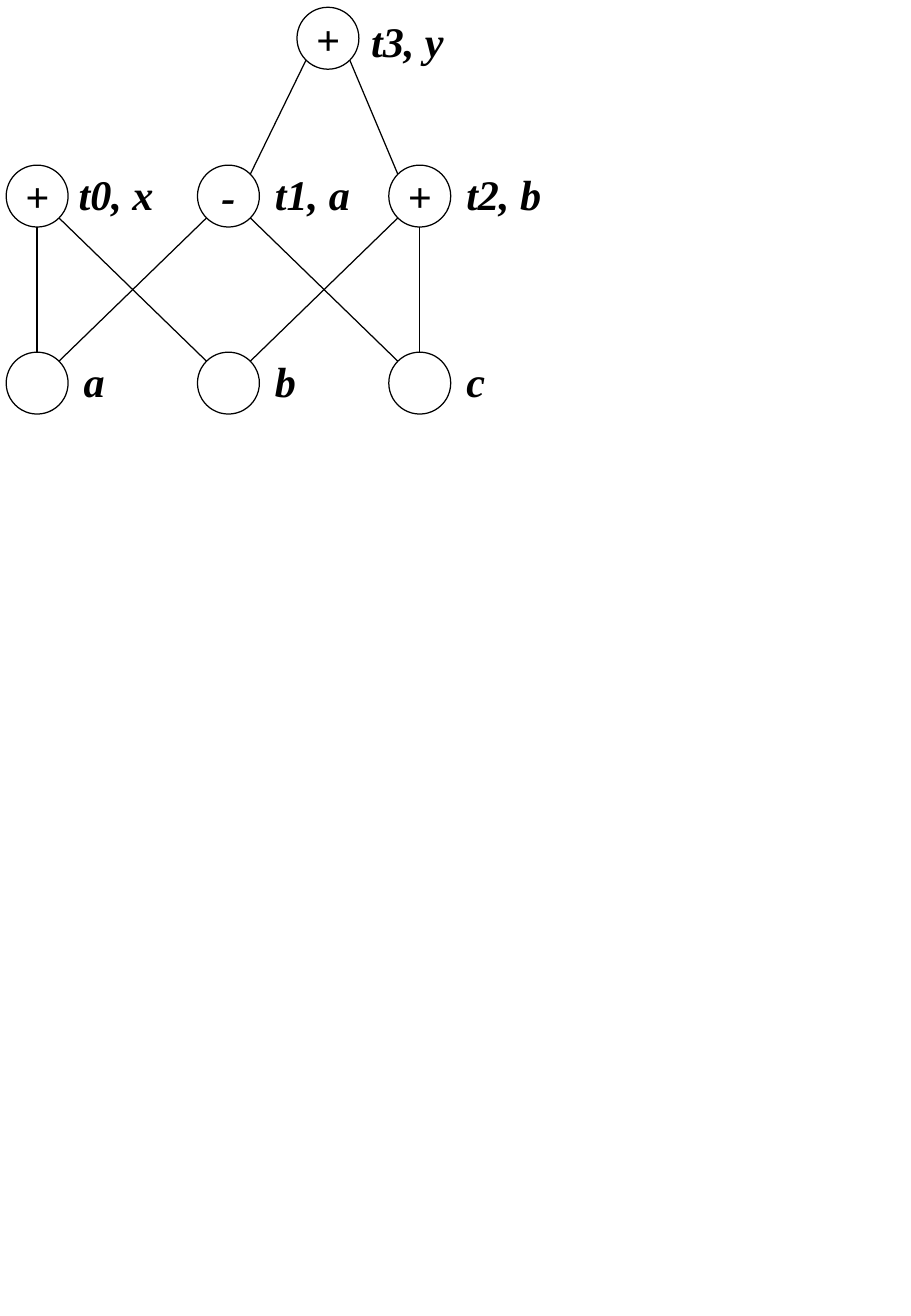
import math

import pptx
import pptx.dml.color
import pptx.enum.shapes
import pptx.enum.text
import pptx.util
from lxml import etree

Pt = pptx.util.Pt
MSO_SHAPE = pptx.enum.shapes.MSO_SHAPE
PP_ALIGN = pptx.enum.text.PP_ALIGN

# Content: node -> (column, row, operator, label, label nudge in points)
NODES = {
    "a": (0, 2, "", "a", (0, 0)),
    "b": (1, 2, "", "b", (0, 0)),
    "c": (2, 2, "", "c", (0, 0)),
    "t0": (0, 1, "+", "t0, x", (-3, 0)),
    "t1": (1, 1, "-", "t1, a", (0, 0)),
    "t2": (2, 1, "+", "t2, b", (0, 0)),
    "t3": (1.52, 0, "+", "t3, y", (-2, 3)),
}
EDGES = [("t0", "a"), ("t0", "b"), ("t1", "a"), ("t1", "c"),
         ("t2", "b"), ("t2", "c"), ("t3", "t1"), ("t3", "t2")]

# Theme and layout, in points
THEME = {
    "ink": pptx.dml.color.RGBColor(0, 0, 0),
    "line": 0.75,
    "font": {"name": "Times New Roman", "size": Pt(25), "bold": True, "italic": True},
}
SLIDE_W, SLIDE_H = 540, 780.48
FIRST_X, PITCH_X = 22, 113.4
ROW_Y = [22.7, 116.3, 227.2]
DIAMETER = 36.7
RADIUS = DIAMETER / 2
LABEL_W, LABEL_H = 76, 33.8
MARGINS = {"margin_left": Pt(7.6), "margin_right": Pt(7.6),
           "margin_top": Pt(3.6), "margin_bottom": Pt(3.6)}


def center(name):
    col, row = NODES[name][:2]
    return FIRST_X + col * PITCH_X, ROW_Y[row]


def add_part(s, kind, left, top, width, height, text, align, outlined):
    sp = s.shapes.add_shape(kind, Pt(left), Pt(top), Pt(width), Pt(height))
    sp.shadow.inherit = False
    sp.fill.background()
    if outlined:
        sp.line.color.rgb = THEME["ink"]
        sp.line.width = Pt(THEME["line"])
    else:
        sp.line.fill.background()
    if not text:
        return
    tf = sp.text_frame
    tf.word_wrap = False
    tf.vertical_anchor = pptx.enum.text.MSO_ANCHOR.MIDDLE
    for key, value in MARGINS.items():
        setattr(tf, key, value)
    p = tf.paragraphs[0]
    p.alignment = align
    r = p.add_run()
    r.text = text
    for key, value in THEME["font"].items():
        setattr(r.font, key, value)
    r.font.color.rgb = THEME["ink"]


def add_edge(s, parent, child):
    (x1, y1), (x2, y2) = center(parent), center(child)
    # Vertical edges leave at the bottom, slanted ones at the 45 degree points
    side = (x2 > x1) - (x2 < x1)
    reach = RADIUS * math.sqrt(0.5) if side else RADIUS
    dx = side * reach
    line = s.shapes.add_connector(
        pptx.enum.shapes.MSO_CONNECTOR.STRAIGHT,
        Pt(x1 + dx), Pt(y1 + reach), Pt(x2 - dx), Pt(y2 - reach))
    line.line.color.rgb = THEME["ink"]
    line.line.width = Pt(THEME["line"])
    etree.SubElement(line._element.spPr, pptx.oxml.ns.qn("a:effectLst"))


def main():
    prs = pptx.Presentation()
    prs.slide_width, prs.slide_height = Pt(SLIDE_W), Pt(SLIDE_H)
    s = prs.slides.add_slide(prs.slide_layouts[6])

    # Edges
    for parent, child in EDGES:
        add_edge(s, parent, child)

    # Nodes with their labels to the right
    for name, (_, _, operator, label, (nudge_x, nudge_y)) in NODES.items():
        x, y = center(name)
        add_part(s, MSO_SHAPE.OVAL, x - RADIUS, y - RADIUS, DIAMETER, DIAMETER,
                 operator, PP_ALIGN.CENTER, True)
        add_part(s, MSO_SHAPE.ROUNDED_RECTANGLE, x + RADIUS + nudge_x,
                 y - RADIUS + nudge_y, LABEL_W, LABEL_H, label, PP_ALIGN.LEFT, False)

    prs.save("out.pptx")


if __name__ == "__main__":
    main()
